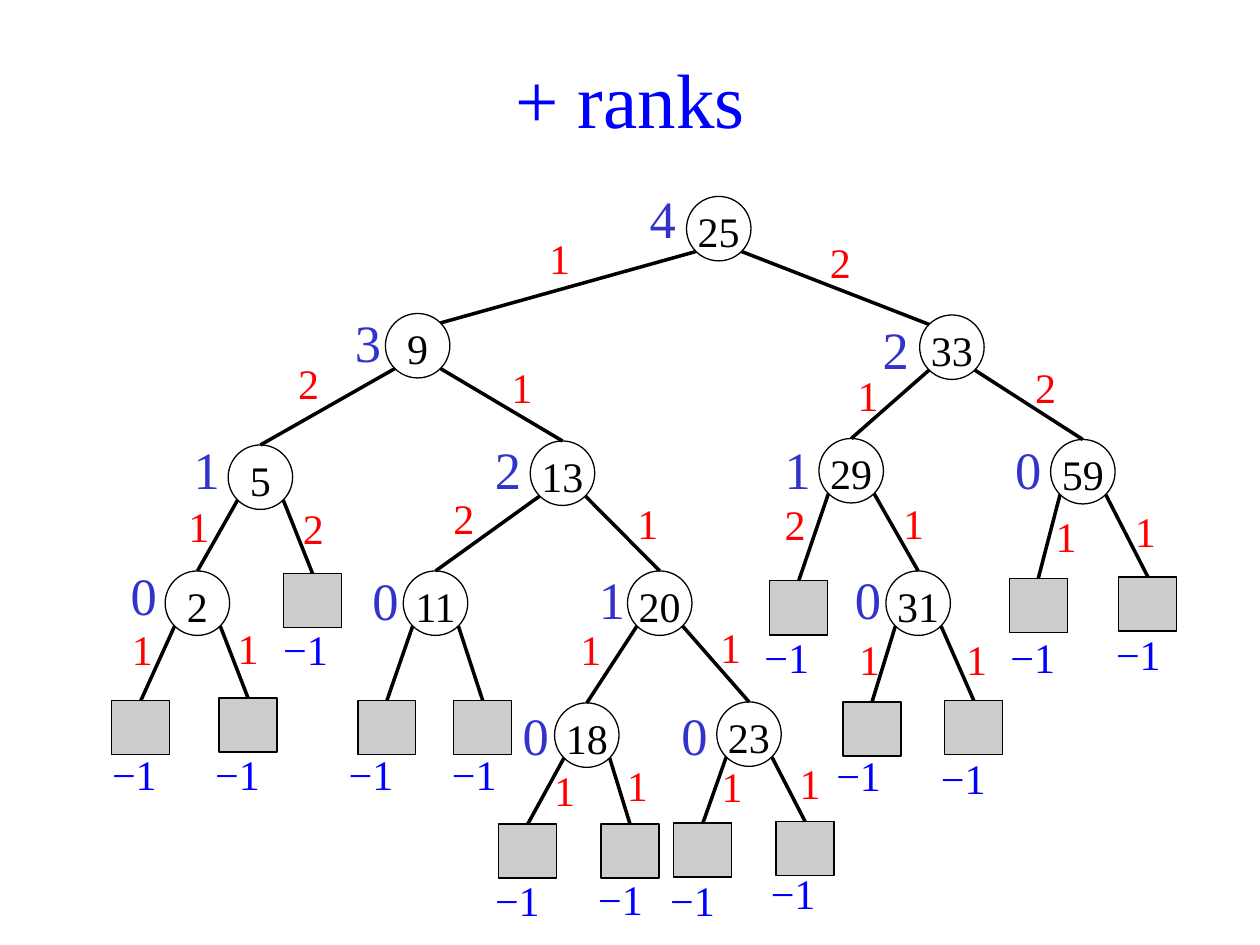
from lxml import etree
from pptx import Presentation
from pptx.dml.color import RGBColor
from pptx.enum.shapes import MSO_CONNECTOR, MSO_SHAPE
from pptx.enum.text import PP_ALIGN
from pptx.oxml.ns import qn
from pptx.util import Cm, Pt

OVAL, SQUARE = MSO_SHAPE.OVAL, MSO_SHAPE.RECTANGLE
STRAIGHT = MSO_CONNECTOR.STRAIGHT
CENTER = PP_ALIGN.CENTER

BLACK = RGBColor(0x00, 0x00, 0x00)
RED = RGBColor(0xFF, 0x00, 0x00)
BLUE = RGBColor(0x00, 0x00, 0xFF)
INDIGO = RGBColor(0x33, 0x33, 0xCC)
GREY = RGBColor(0xCC, 0xCC, 0xCC)
FONT = "Times New Roman"

# All measures below are in centimetres
DIAMETER = 1.3
RADIUS = DIAMETER / 2
DIAGONAL = 0.46  # offset of the circle's 45-degree points from its centre
LEAF_W, LEAF_H = 1.17, 1.09

# key: (centre x, top, rank, rank centre x, rank top)
NODES = {
    25: (14.49, 3.96, 4, 13.36, 3.63),
    9: (8.42, 6.32, 3, 7.42, 6.12),
    33: (19.19, 6.35, 2, 18.06, 6.27),
    5: (5.25, 8.97, 1, 4.17, 8.69),
    13: (11.34, 8.89, 2, 10.24, 8.69),
    29: (17.16, 8.84, 1, 16.08, 8.69),
    59: (21.83, 8.86, 0, 20.73, 8.69),
    2: (3.98, 11.51, 0, 2.9, 11.23),
    11: (8.78, 11.51, 0, 7.77, 11.33),
    20: (13.3, 11.51, 1, 12.34, 11.3),
    31: (18.51, 11.51, 0, 17.5, 11.3),
    18: (11.83, 14.17, 0, 10.8, 14.05),
    23: (15.1, 14.15, 0, 14, 14.05),
}

# (parent, child, rank difference, its centre x, its top)
BRANCHES = [
    (25, 9, 1, 11.28, 4.57),
    (25, 33, 2, 16.94, 4.65),
    (9, 5, 2, 6.22, 7.09),
    (9, 13, 1, 10.52, 7.16),
    (33, 29, 1, 17.5, 7.32),
    (33, 59, 2, 21.08, 7.16),
    (5, 2, 1, 4.01, 9.96),
    (13, 11, 2, 9.35, 9.8),
    (13, 20, 1, 13.06, 9.91),
    (29, 31, 1, 18.42, 9.91),
    (20, 18, 1, 11.91, 12.45),
    (20, 23, 1, 14.73, 12.4),
]

# (parent, leaf centre x, leaf top, rank centre x, rank top)
LEAVES = [
    (5, 6.3, 11.56, 6.16, 12.45),
    (29, 16.1, 11.71, 15.86, 12.6),
    (59, 20.93, 11.66, 20.82, 12.6),
    (59, 23.14, 11.63, 22.95, 12.55),
    (2, 2.84, 14.12, 2.71, 14.96),
    (2, 5, 14.07, 4.79, 14.96),
    (11, 7.8, 14.12, 7.48, 14.96),
    (11, 9.73, 14.12, 9.56, 14.96),
    (31, 17.58, 14.15, 17.31, 14.99),
    (31, 19.63, 14.12, 19.42, 15.04),
    (18, 10.64, 16.61, 10.43, 17.5),
    (18, 12.7, 16.61, 12.51, 17.48),
    (23, 14.17, 16.59, 13.96, 17.5),
    (23, 16.23, 16.56, 15.99, 17.37),
]

# (rank difference, centre x, top) on the edges to leaves
LEAF_DIFFERENCES = [
    (2, 6.32, 10.01), (2, 16.03, 9.93), (1, 21.49, 10.16), (1, 23.09, 10.06),
    (1, 2.87, 12.45), (1, 5, 12.42), (1, 17.53, 12.65), (1, 19.69, 12.65),
    (1, 11.38, 15.29), (1, 12.85, 15.19), (1, 14.76, 15.21), (1, 16.33, 15.14),
]

prs = Presentation()
prs.slide_width, prs.slide_height = Cm(25.4), Cm(19.05)
slide = prs.slides.add_slide(prs.slide_layouts[6])
shapes = slide.shapes


def add_label(text, center_x, top, width, height, size, color):
    label = shapes.add_textbox(Cm(center_x - width / 2), Cm(top), Cm(width), Cm(height))
    label.text_frame.word_wrap = True
    paragraph = label.text_frame.paragraphs[0]
    paragraph.text = str(text)
    paragraph.alignment = CENTER
    paragraph.font.name, paragraph.font.size = FONT, Pt(size)
    paragraph.font.color.rgb = color


def add_edge(parent, end_x, end_y):
    """Draw a line from the parent's lower 45-degree point to the end point."""
    x, top = NODES[parent][:2]
    start_x = x + (DIAGONAL if end_x > x else -DIAGONAL)
    start_y = top + RADIUS + DIAGONAL
    edge = shapes.add_connector(STRAIGHT, Cm(start_x), Cm(start_y), Cm(end_x), Cm(end_y))
    edge.line.color.rgb = BLACK
    edge.line.width = Pt(2)
    etree.SubElement(edge._element.spPr, qn("a:effectLst"))


# Title
add_label("+ ranks", 12.7, 0.91, 25.4, 2.13, 44, BLUE)

# Edges between keys; those from the root end on the side of the child circle
for parent, child, difference, label_x, label_top in BRANCHES:
    end_x, end_y = NODES[child][:2]
    if parent == 25:
        end_x += DIAGONAL if end_x < NODES[parent][0] else -DIAGONAL
        end_y += RADIUS - DIAGONAL
    add_edge(parent, end_x, end_y)
    add_label(difference, label_x, label_top, 1.63, 1.27, 24, RED)

# Keys with their ranks
for key, (x, top, rank, rank_x, rank_top) in NODES.items():
    circle = shapes.add_shape(OVAL, Cm(x - RADIUS), Cm(top), Cm(DIAMETER), Cm(DIAMETER))
    circle.shadow.inherit = False
    circle.fill.background()
    circle.line.color.rgb = BLACK
    circle.line.width = Pt(0.75)
    frame = circle.text_frame
    frame.margin_left = frame.margin_right = frame.margin_top = frame.margin_bottom = 0
    frame.vertical_anchor = None
    frame.text = str(key)
    key_text = frame.paragraphs[0]
    key_text.alignment = CENTER
    key_text.font.name, key_text.font.size = FONT, Pt(24)
    key_text.font.color.rgb = BLACK
    add_label(rank, rank_x, rank_top, 1.42, 1.55, 30, INDIGO)

# External leaves with rank −1
for parent, x, top, rank_x, rank_top in LEAVES:
    leaf = shapes.add_shape(SQUARE, Cm(x - LEAF_W / 2), Cm(top), Cm(LEAF_W), Cm(LEAF_H))
    leaf.shadow.inherit = False
    leaf.fill.solid()
    leaf.fill.fore_color.rgb = GREY
    leaf.line.color.rgb = BLACK
    leaf.line.width = Pt(0.75)
    add_edge(parent, x, top)
    add_label("−1", rank_x, rank_top, 1.65, 1.27, 24, BLUE)

# Rank differences on the edges to leaves
for difference, x, top in LEAF_DIFFERENCES:
    add_label(difference, x, top, 1.63, 1.27, 24, RED)

prs.save("out.pptx")
